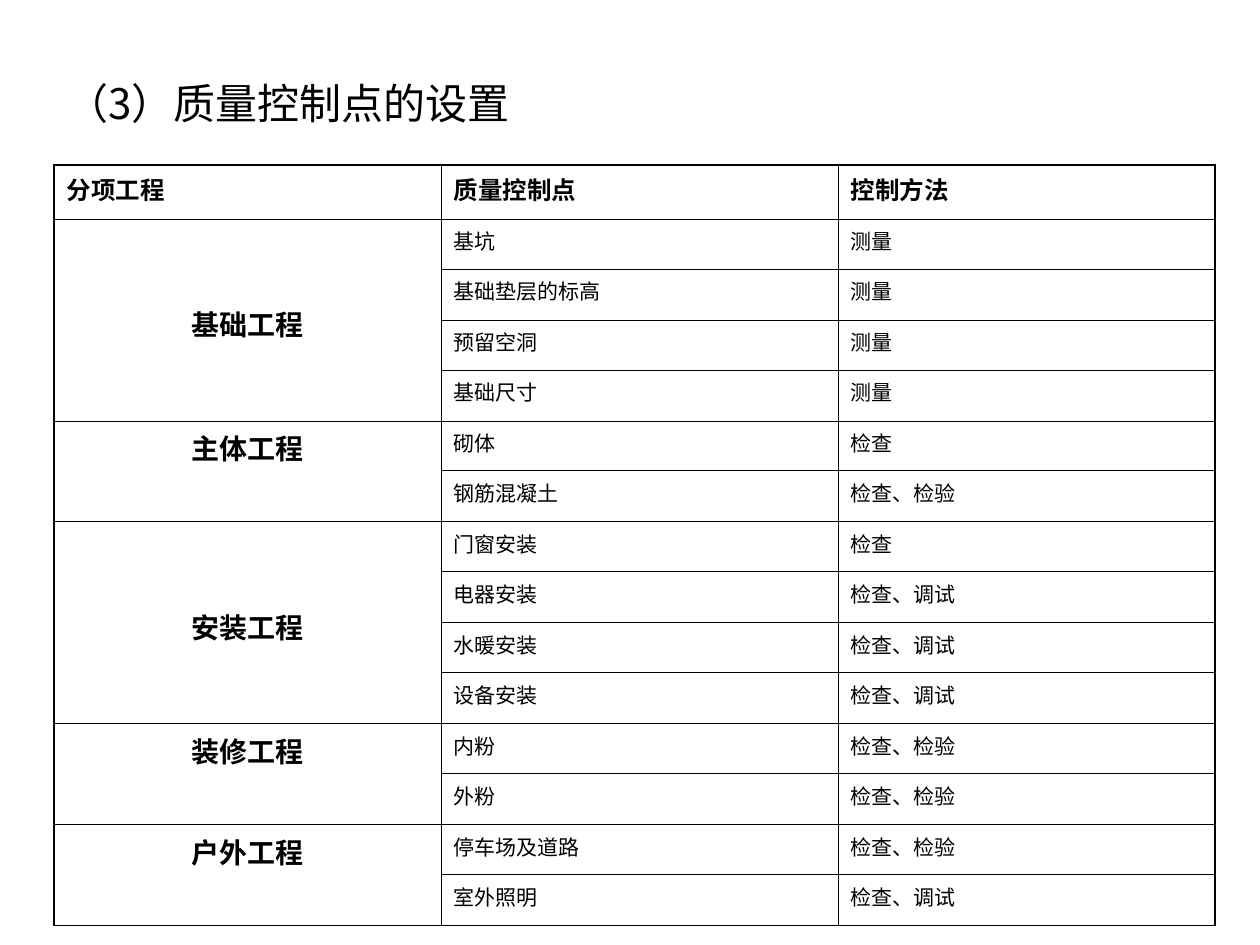
from dataclasses import dataclass

from lxml.etree import SubElement
from pptx import Presentation
from pptx.dml.color import RGBColor
from pptx.enum.text import MSO_ANCHOR, PP_ALIGN
from pptx.oxml.ns import qn
from pptx.util import Emu, Pt

DPI = 126
BLACK, WHITE = "000000", "FFFFFF"
CJK = "Noto Sans CJK SC"
THIN, THICK = 0.45, 1.08


@dataclass
class Group:
    name: str
    items: list[tuple[str, str]]


HEAD = ["分项工程", "质量控制点", "控制方法"]
GROUPS = [
    Group("基础工程", [("基坑", "测量"), ("基础垫层的标高", "测量"),
                   ("预留空洞", "测量"), ("基础尺寸", "测量")]),
    Group("主体工程", [("砌体", "检查"), ("钢筋混凝土", "检查、检验")]),
    Group("安装工程", [("门窗安装", "检查"), ("电器安装", "检查、调试"),
                   ("水暖安装", "检查、调试"), ("设备安装", "检查、调试")]),
    Group("装修工程", [("内粉", "检查、检验"), ("外粉", "检查、检验")]),
    Group("户外工程", [("停车场及道路", "检查、检验"), ("室外照明", "检查、调试")]),
]
COLS = [387, 397, 377]
LEFT, TOP, HEAD_H, BODY_H = 54, 165, 54, 707


def px(n: int) -> Emu:
    return Emu(round(n * 914400 / DPI))


def color(code: str) -> RGBColor:
    return RGBColor.from_string(code)


def write(frame, text: str, *, size=12, bold=False, face="Arial",
          align=PP_ALIGN.LEFT) -> None:
    par = frame.paragraphs[0]
    par.alignment = align
    run = par.add_run()
    run.text = text
    font = run.font
    font.size, font.bold = Pt(size), bold
    font.color.rgb = color(BLACK)
    font.name = face
    SubElement(run._r.get_or_add_rPr(), qn("a:ea"), typeface=CJK)


def edge(cell, side: str, width: float) -> None:
    line = SubElement(cell._tc.get_or_add_tcPr(), qn(f"a:ln{side}"),
                      w=str(Pt(width)))
    fill = SubElement(line, qn("a:solidFill"))
    SubElement(fill, qn("a:srgbClr"), val=BLACK)


def style(table, row: int, col: int) -> None:
    """Rule and fill one cell, with heavier lines on the outer frame."""
    cell = table.cell(row, col)
    end = row + (cell.span_height if cell.is_merge_origin else 1)
    if not cell.is_spanned:
        outer = {"L": col == 0, "R": col == len(COLS) - 1,
                 "T": row == 0, "B": end == len(table.rows)}
        for side, thick in outer.items():
            edge(cell, side, THICK if thick else THIN)
    cell.fill.solid()
    cell.fill.fore_color.rgb = color(WHITE)


def fill_group(table, row: int, group: Group) -> None:
    count = len(group.items)
    cell = table.cell(row, 0)
    cell.merge(table.cell(row + count - 1, 0))
    write(cell.text_frame, group.name, size=16, bold=True,
          align=PP_ALIGN.CENTER)
    # Tall groups carry their name just below the middle
    if count > 2:
        cell.vertical_anchor = MSO_ANCHOR.MIDDLE
        cell.margin_top = px(14)
    for i, item in enumerate(group.items):
        for col, text in enumerate(item, 1):
            write(table.cell(row + i, col).text_frame, text)


def draw_table(slide) -> None:
    count = sum(len(group.items) for group in GROUPS)
    table = slide.shapes.add_table(
        count + 1, len(COLS), px(LEFT), px(TOP),
        px(sum(COLS)), px(HEAD_H + BODY_H)).table
    table.first_row = table.horz_banding = False

    # Column widths and even body rows
    for col, width in zip(table.columns, COLS):
        col.width = px(width)
    table.rows[0].height = px(HEAD_H)
    for i in range(count):
        table.rows[i + 1].height = px(
            BODY_H * (i + 1) // count - BODY_H * i // count)

    # Wording
    for col, text in enumerate(HEAD):
        write(table.cell(0, col).text_frame, text, size=14, bold=True)
    row = 1
    for group in GROUPS:
        fill_group(table, row, group)
        row += len(group.items)

    # Rules and fills
    for row in range(count + 1):
        for col in range(len(COLS)):
            style(table, row, col)


def main() -> None:
    deck = Presentation()
    deck.slide_width, deck.slide_height = px(1260), px(945)
    slide = deck.slides.add_slide(deck.slide_layouts[6])

    # Title
    frame = slide.shapes.add_textbox(px(54), px(56), px(1161),
                                     px(94)).text_frame
    frame.word_wrap = True
    frame.vertical_anchor = MSO_ANCHOR.MIDDLE
    write(frame, "（3）质量控制点的设置", size=24, face=CJK)

    draw_table(slide)
    deck.save("out.pptx")


if __name__ == "__main__":
    main()
